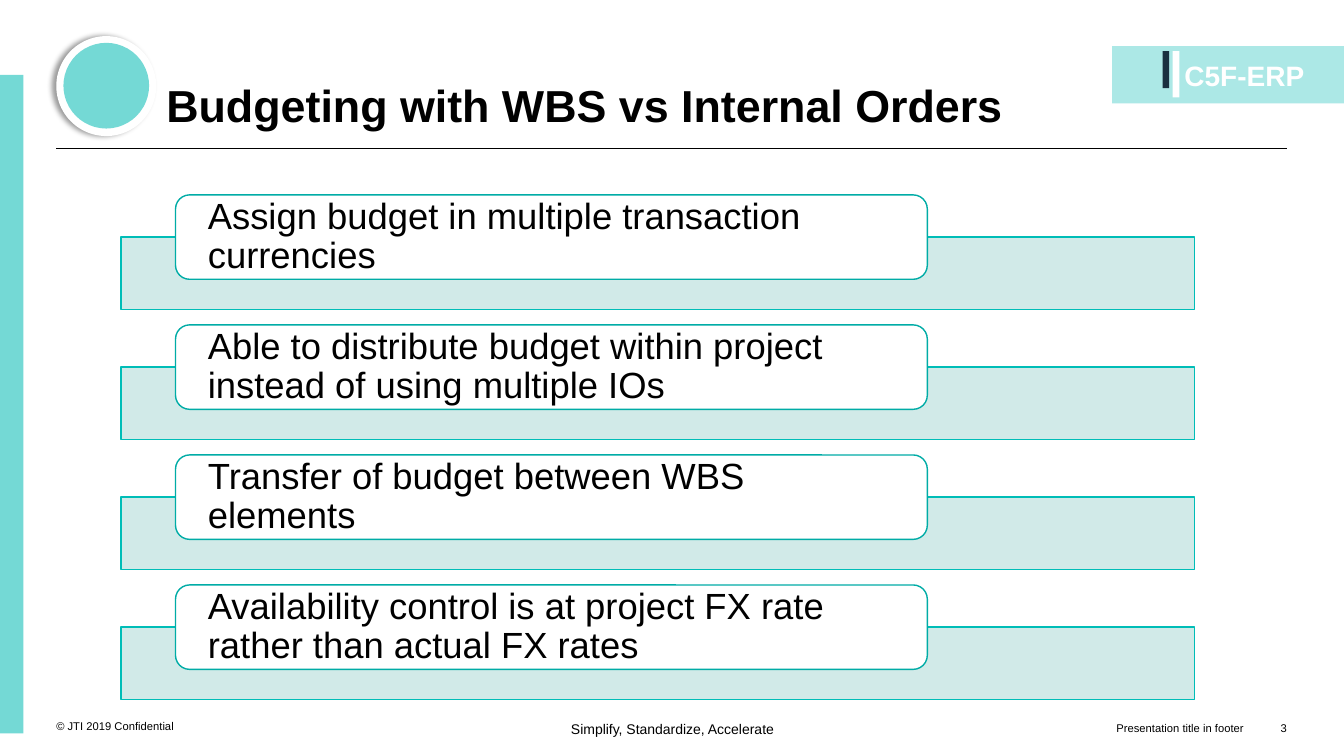
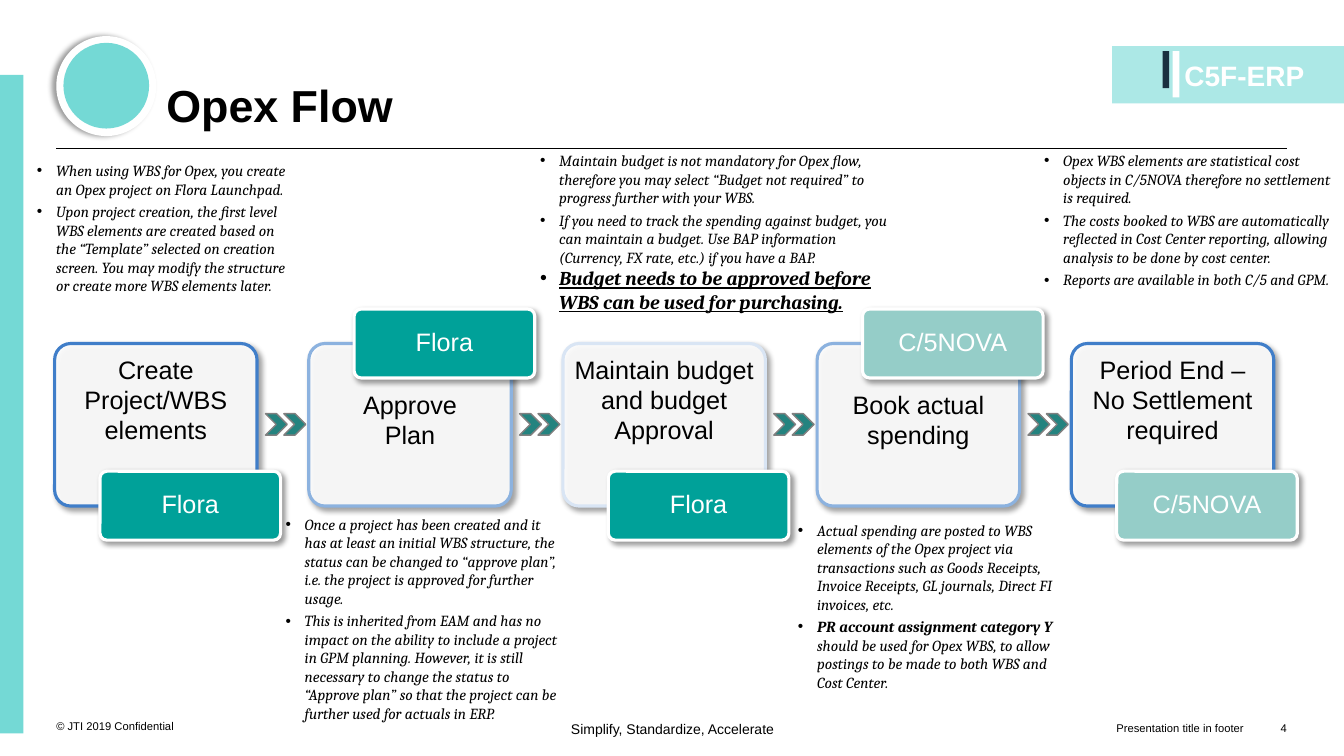
from lxml import etree
from pptx import Presentation
from pptx import util as u
from pptx.dml.color import RGBColor
from pptx.enum import shapes, text
from pptx.oxml.ns import qn

BLACK = RGBColor(0x00, 0x00, 0x00)
WHITE = RGBColor(0xFF, 0xFF, 0xFF)
NAVY = RGBColor(0x1A, 0x30, 0x40)
AQUA = RGBColor(0x74, 0xD9, 0xD5)
PALE_AQUA = RGBColor(0xAC, 0xE8, 0xE6)
BAR_FILL = RGBColor(0xCC, 0xE8, 0xE6)
BAR_EDGE = RGBColor(0x00, 0xBD, 0xB7)
LABEL_EDGE = RGBColor(0x00, 0xAC, 0xA6)
TEAL = RGBColor(0x00, 0xA1, 0x99)
SOFT_TEAL = RGBColor(0x95, 0xCD, 0xC8)
DEEP_TEAL = RGBColor(0x24, 0x83, 0x7F)
GREY = RGBColor(0x80, 0x80, 0x80)
BLUE = RGBColor(0x40, 0x7E, 0xC9)
MID_BLUE = RGBColor(0x8C, 0xB2, 0xDF)
PALE_BLUE = RGBColor(0xD9, 0xE5, 0xF4)

COLUMNS, ROWS = 160, 90
CELL = u.Inches(7.5) / ROWS
KIND = shapes.MSO_SHAPE
LEFT, CENTER, RIGHT = text.PP_ALIGN.LEFT, text.PP_ALIGN.CENTER, text.PP_ALIGN.RIGHT
TOP, MIDDLE, BOTTOM = text.MSO_ANCHOR.TOP, text.MSO_ANCHOR.MIDDLE, text.MSO_ANCHOR.BOTTOM


def block(slide, kind, box, fill=None, edge=None, weight=1, alpha=None, shadow=None):
    place = [int(length * CELL) for length in box]
    if kind is None:
        return slide.shapes.add_textbox(*place)
    shape = slide.shapes.add_shape(kind, *place)
    shape.fill.solid()
    shape.fill.fore_color.rgb = fill
    if alpha:
        tint = shape.element.spPr.find(qn("a:solidFill")).find(qn("a:srgbClr"))
        etree.SubElement(tint, qn("a:alpha"), val=str(alpha * 1000))
    if edge is None:
        shape.line.fill.background()
    else:
        shape.line.color.rgb = edge
        shape.line.width = u.Pt(weight)
    shape.shadow.inherit = False
    if shadow is not None:
        effects = shape.element.spPr.find(qn("a:effectLst"))
        cast = etree.SubElement(
            effects, qn("a:outerShdw"), blurRad=str(u.Pt(4)), dist=str(u.Pt(3)),
            dir=str(shadow * 60000), algn="ctr", rotWithShape="0")
        shade = etree.SubElement(cast, qn("a:srgbClr"), val=str(BLACK))
        etree.SubElement(shade, qn("a:alpha"), val="40000")
    return shape


def write(shape, paragraphs, size, color=BLACK, align=LEFT, anchor=TOP,
          insets=(0, 0, 0, 0), spacing=1.0, bullets=False, **style):
    frame = shape.text_frame
    layout_values = {"word_wrap": True, "auto_size": text.MSO_AUTO_SIZE.NONE,
                     "vertical_anchor": anchor}
    sides = ("margin_left", "margin_top", "margin_right", "margin_bottom")
    layout_values.update(zip(sides, map(u.Inches, insets)))
    for key, value in layout_values.items():
        setattr(frame, key, value)
    for index, content in enumerate(paragraphs):
        paragraph = frame.add_paragraph() if index else frame.paragraphs[0]
        paragraph.alignment = align
        paragraph.line_spacing = spacing
        runs = [(content, {})] if isinstance(content, str) else content
        if bullets:
            if index and "size" not in runs[0][1]:
                paragraph.space_before = u.Pt(3)
            props = paragraph._p.get_or_add_pPr()
            props.set("marL", str(u.Inches(0.19)))
            props.set("indent", str(-u.Inches(0.19)))
            etree.SubElement(props, qn("a:buFont"), typeface="Arial")
            etree.SubElement(props, qn("a:buChar"), char="•")
        for words, extra in runs:
            run = paragraph.add_run()
            run.text = words
            values = {"name": "Arial", "size": u.Pt(size), **style, **extra}
            for key, value in values.items():
                setattr(run.font, key, value)
            run.font.color.rgb = color


prs = Presentation()
prs.slide_width = int(COLUMNS * CELL)
prs.slide_height = int(ROWS * CELL)
layout = prs.slide_layouts[5]
for holder in list(layout.placeholders):
    if holder.placeholder_format.idx:
        holder.element.getparent().remove(holder.element)
title_area = {"left": 19.8, "top": 2.8, "width": 112, "height": 12.9}
for key, value in title_area.items():
    setattr(layout.placeholders[0], key, int(value * CELL))

budgeting = prs.slides.add_slide(layout)
opex = prs.slides.add_slide(layout)

rule = budgeting.shapes.add_connector(
    shapes.MSO_CONNECTOR.STRAIGHT, *[int(v * CELL) for v in (6.7, 17.65, 153.2, 17.65)])
rule.line.color.rgb = BLACK
rule.line.width = u.Pt(0.75)
etree.SubElement(rule.element.spPr, qn("a:effectLst"))
write(block(budgeting, None, (6.7, 82.4, 23.6, 4.8)),
      ["© JTI 2019 Confidential"], 8, anchor=BOTTOM)
write(block(budgeting, None, (61.7, 85.8, 36.7, 3.6)),
      ["Simplify, Standardize, Accelerate"], 10, align=CENTER)
write(block(budgeting, None, (92.9, 82.7, 55.2, 4.8)),
      ["Presentation title in footer"], 8, align=RIGHT, anchor=BOTTOM)
for kind, box, fill, shadow in (
    (KIND.RECTANGLE, (132.4, 5.5, 27.6, 6.8), PALE_AQUA, None),
    (KIND.RECTANGLE, (138.4, 6.1, 0.8, 4.4), NAVY, None),
    (KIND.RECTANGLE, (139.6, 6.1, 0.8, 5.5), WHITE, None),
    (KIND.RECTANGLE, (0, 8.9, 2.8, 78.4), AQUA, None),
    (KIND.OVAL, (6.7, 4.3, 11.9, 11.9), WHITE, 180),
    (KIND.OVAL, (7.55, 5.1, 10.2, 10.2), AQUA, None),
):
    block(budgeting, kind, box, fill, shadow=shadow)
write(block(budgeting, None, (141, 7, 17, 6)), ["C5F-ERP"], 20, WHITE, bold=True)
for shape in list(budgeting.shapes):
    if not shape.is_placeholder:
        layout.shapes.element.append(shape.element)

for slide, title, number in (
    (budgeting, "Budgeting with WBS vs Internal Orders", 3),
    (opex, "Opex Flow", 4),
):
    write(slide.shapes.title, [title], 32, anchor=BOTTOM, spacing=0.9, bold=True)
    write(block(slide, None, (148, 82.7, 5.2, 4.8)), [str(number)], 8,
          align=RIGHT, anchor=BOTTOM)

benefits = (
    "Assign budget in multiple transaction currencies",
    "Able to distribute budget within project instead of using multiple IOs",
    "Transfer of budget between WBS elements",
    "Availability control is at project FX rate rather than actual FX rates",
)
BENEFIT_PITCH = 15.48
for index, benefit in enumerate(benefits):
    top = 23.2 + index * BENEFIT_PITCH
    block(budgeting, KIND.RECTANGLE, (14.4, top + 5, 127.8, 8.65), BAR_FILL, BAR_EDGE, alpha=90)
    label = block(budgeting, KIND.ROUNDED_RECTANGLE, (20.9, top, 89.5, 10.05), WHITE, LABEL_EDGE)
    write(label, [benefit], 26, anchor=MIDDLE, insets=(0.28, 0, 0.28, 0), spacing=0.9)

STAGE_PITCH, STAGE_LEFT, STAGE_TOP = 30.26, 6.5, 40.9
stages = (
    (["Create Project/WBS elements"], BLUE, "Flora", TEAL),
    (["Approve", "Plan"], MID_BLUE, "Flora", TEAL),
    (["Maintain budget and budget Approval"], PALE_BLUE, "Flora", TEAL),
    (["Book actual spending"], MID_BLUE, "C/5NOVA", SOFT_TEAL),
    (["Period End – No Settlement required"], BLUE, "C/5NOVA", SOFT_TEAL),
)
for index, (step, edge, system, fill) in enumerate(stages):
    left = STAGE_LEFT + index * STAGE_PITCH
    tag_on_top = index % 2 == 1
    stage = block(opex, KIND.ROUNDED_RECTANGLE, (left, STAGE_TOP, 24.1, 19.35),
                  WHITE, edge, 2.25, alpha=90, shadow=45)
    stage.adjustments[0] = 0.1
    insets = (0.05, 0.41, 0.05, 0.06) if tag_on_top else (0.05, 0.06, 0.05, 0.41)
    write(stage, step, 18, align=CENTER, insets=insets)
    tag_top = STAGE_TOP + (-4.1 if tag_on_top else 15.2)
    tag = block(opex, KIND.ROUNDED_RECTANGLE, (left + 5.4, tag_top, 21.5, 8.2),
                fill, WHITE, 2.25, shadow=45)
    tag.adjustments[0] = 0.1
    write(tag, [system], 18, WHITE, CENTER, MIDDLE, (0.1, 0.07, 0.1, 0.07), 0.9)
    if index < len(stages) - 1:
        for step_on in (0, 2.2):
            block(opex, KIND.CHEVRON, (left + 25.1 + step_on, 49.25, 2.6, 2.55), DEEP_TEAL, GREY)

notes = (
    ((4.4, 19.2, 29.8, 19.3), [
        "When using WBS for Opex, you create an Opex project on Flora Launchpad.",
        "Upon project creation, the first level WBS elements are created based on the "
        "“Template” selected on creation screen. You may modify the structure or create "
        "more WBS elements later.",
    ]),
    ((34, 61.3, 33.1, 26.2), [
        "Once a project has been created and it has at least an initial WBS structure, the "
        "status can be changed to “approve plan”, i.e. the project is approved for further usage.",
        "This is inherited from EAM and has no impact on the ability to include a project in "
        "GPM planning. However, it is still necessary to change the status to “Approve plan” "
        "so that the project can be further used for actuals in ERP.",
    ]),
    ((64.3, 18, 43, 26.2), [
        "Maintain budget is not mandatory for Opex flow, therefore you may select “Budget not "
        "required” to progress further with your WBS.",
        "If you need to track the spending against budget, you can maintain a budget. Use BAP "
        "information (Currency, FX rate, etc.) if you have a BAP.",
        [("Budget needs to be approved before WBS can be used for purchasing.",
          {"size": u.Pt(14), "bold": True, "underline": True})],
    ]),
    ((95, 62, 32.5, 26.2), [
        "Actual spending are posted to WBS elements of the Opex project via transactions such "
        "as Goods Receipts, Invoice Receipts, GL journals, Direct FI invoices, etc.",
        [("PR account assignment category Y ", {"bold": True}),
         ("should be used for Opex WBS, to allow postings to be made to both WBS and "
          "Cost Center.", {})],
    ]),
    ((124.3, 18, 34.8, 24.7), [
        "Opex WBS elements are statistical cost objects in C/5NOVA therefore no settlement "
        "is required.",
        "The costs booked to WBS are automatically reflected in Cost Center reporting, "
        "allowing analysis to be done by cost center.",
        "Reports are available in both C/5 and GPM.",
    ]),
)
for box, remarks in notes:
    write(block(opex, None, box), remarks, 11, bullets=True, name="Cambria", italic=True)

prs.save("out.pptx")
